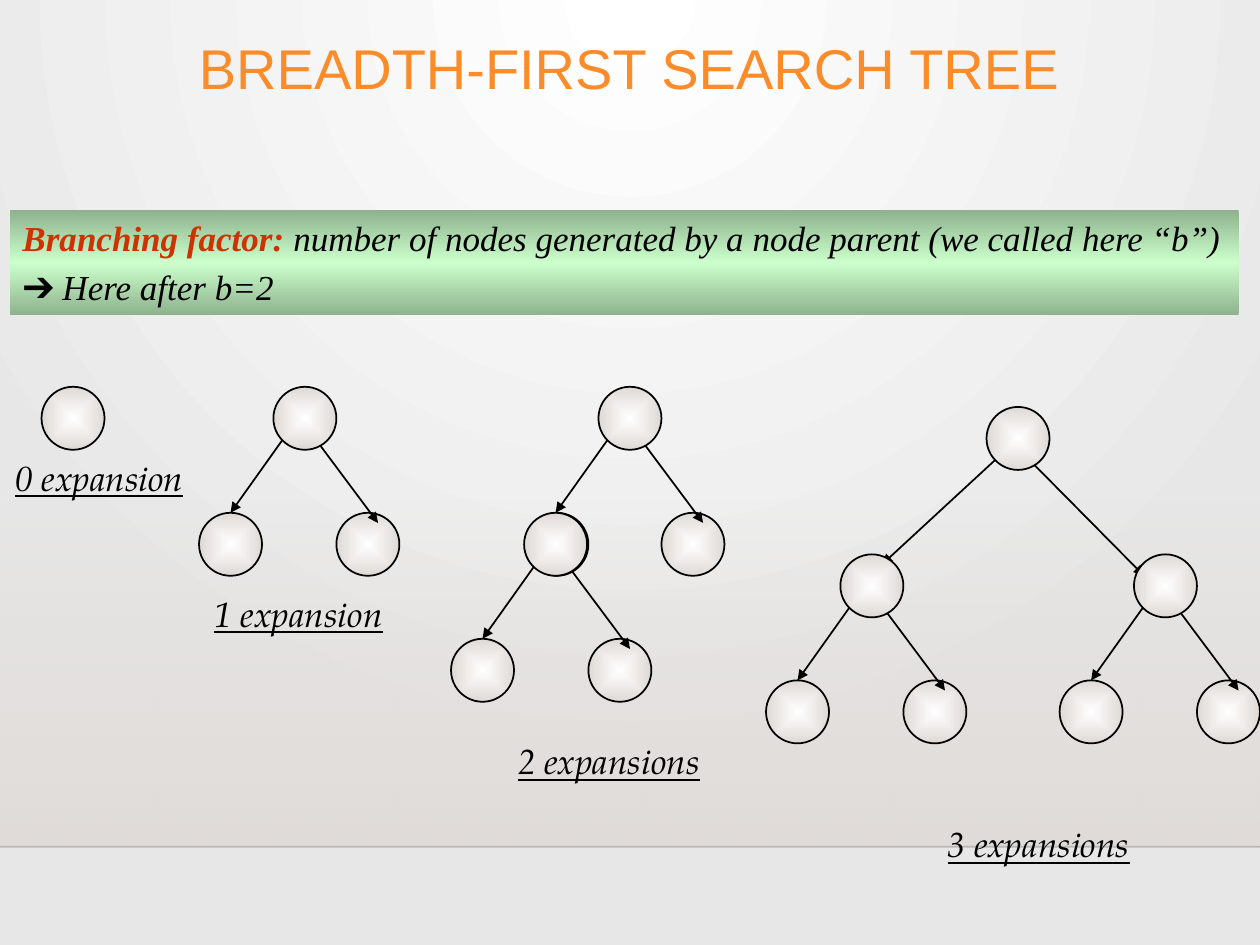
from dataclasses import dataclass
from typing import NamedTuple

from lxml import etree
from pptx import Presentation
from pptx import util as u
from pptx.dml.color import RGBColor
from pptx.enum import shapes, text
from pptx.oxml import parse_xml
from pptx.oxml.ns import nsdecls, qn


@dataclass(frozen=True)
class Theme:
    ink: str = "000000"
    title: str = "FB8C29"
    term: str = "CC3300"
    paper: str = "FFFFFF"
    edge: str = "E7E7E7"
    floor: str = "DFD9D5"
    moss: str = "8EB28E"
    mint: str = "CCFFCC"
    head: int = 32
    body: int = 20
    sans: str = "Arial"
    serif: str = "Times New Roman"
    script: str = "TeX Gyre Pagella"


class Stop(NamedTuple):
    pos: int
    color: str
    alpha: int = 100


class Spot(NamedTuple):
    x: float
    y: float


class Label(NamedTuple):
    words: str
    x: float
    y: float
    wide: float


T = Theme()
SIZE = 0.5  # node diameter
LINEAR = '<a:lin ang="5400000" scaled="0"/>'
# Parent corners of every two-child branch, and the root of the last tree
BRANCHES = [Spot(2.17, 3.07), Spot(4.17, 4.07), Spot(4.75, 3.07),
            Spot(6.67, 4.4), Spot(9, 4.4)]
ROOT = Spot(7.83, 3.23)
LABELS = [
    Label("0 expansion", 0, 3.57, 1.58),
    Label("1 expansion", 1.58, 4.65, 1.58),
    Label("2 expansions", 3.92, 5.82, 1.83),
    Label("3 expansions", 7.33, 6.48, 1.83),
]


def rgb(color: str) -> RGBColor:
    return RGBColor.from_string(color)


def radial(kind: str, left: int, top: int, right: int, bottom: int) -> str:
    return (f'<a:path path="{kind}"><a:fillToRect l="{left}000" t="{top}000" '
            f'r="{right}000" b="{bottom}000"/></a:path>')


def shade(fill, owner, stops: list[Stop], way: str) -> None:
    """Give the owner of a fill a gradient with the given stops."""
    fill.solid()
    fill.fore_color.rgb = rgb(T.paper)
    marks = "".join(
        f'<a:gs pos="{s.pos}000"><a:srgbClr val="{s.color}">'
        f'<a:alpha val="{s.alpha}000"/></a:srgbClr></a:gs>' for s in stops)
    grad = parse_xml(f'<a:gradFill {nsdecls("a")} rotWithShape="1">'
                     f'<a:gsLst>{marks}</a:gsLst>{way}</a:gradFill>')
    old = owner.find(qn("a:solidFill"))
    owner.replace(old, grad)


def block(slide, kind, box: tuple, stops: list[Stop], way: str):
    shape = slide.shapes.add_shape(kind, *map(u.Inches, box))
    shape.shadow.inherit = False
    shade(shape.fill, shape._element.spPr, stops, way)
    shape.line.fill.background()
    return shape


def node(slide, x: float, y: float) -> None:
    ball = block(slide, shapes.MSO_SHAPE.OVAL, (x, y, SIZE, SIZE),
                 [Stop(0, T.paper), Stop(100, T.floor)],
                 radial("shape", 50, 50, 50, 50))
    ball.line.color.rgb = rgb(T.ink)
    ball.line.width = u.Pt(1)


def rule(slide, start: Spot, end: Spot):
    line = slide.shapes.add_connector(
        shapes.MSO_CONNECTOR.STRAIGHT, *map(u.Inches, (*start, *end)))
    line.line.color.rgb = rgb(T.ink)
    line.line.width = u.Pt(1)
    etree.SubElement(line._element.spPr, qn("a:effectLst"))
    return line


def arrow(slide, start: Spot, end: Spot) -> None:
    line = rule(slide, start, end)
    etree.SubElement(line.line._get_or_add_ln(), qn("a:tailEnd"), type="triangle")


def fork(slide, top: Spot, left: Spot, right: Spot) -> None:
    """Draw two arrows from a parent; ends are offsets from its corner."""
    x, y = top
    arrow(slide, Spot(x + 0.08, y + 0.41), Spot(x + left.x, y + left.y))
    arrow(slide, Spot(x + 0.33, y + 0.41), Spot(x + right.x, y + right.y))
    node(slide, x, y)


def branch(slide, top: Spot) -> None:
    node(slide, top.x - 0.59, top.y + 1)
    node(slide, top.x + 0.5, top.y + 1)
    fork(slide, top, Spot(-0.34, 1), Spot(0.83, 1.08))


def style(font, name: str, size: int, color: str) -> None:
    font.name, font.size = name, u.Pt(size)
    font.color.rgb = rgb(color)


def label(slide, item: Label) -> None:
    box = slide.shapes.add_textbox(
        *map(u.Inches, (item.x, item.y, item.wide, 0.43)))
    box.text_frame.word_wrap = True
    para = box.text_frame.paragraphs[0]
    para.text = item.words
    para.alignment = text.PP_ALIGN.CENTER
    style(para.font, T.script, T.body, T.ink)
    para.font.italic = para.font.underline = True


def backdrop(slide) -> None:
    fill = slide.background.fill
    fill.solid()
    shade(fill, slide._element.xpath(".//p:bgPr")[0],
          [Stop(0, T.paper), Stop(100, T.edge)], radial("circle", 43, 0, 43, 100))
    block(slide, shapes.MSO_SHAPE.RECTANGLE, (0, 3.96, 10, 2.75),
          [Stop(0, T.floor, 0), Stop(100, T.floor, 80)], LINEAR)
    line = rule(slide, Spot(0, 6.72), Spot(10, 6.72))
    tint = line._element.spPr.find(".//" + qn("a:srgbClr"))
    etree.SubElement(tint, qn("a:alpha"), val="20000")


def banner(slide) -> None:
    band = block(slide, shapes.MSO_SHAPE.RECTANGLE, (0.08, 1.67, 9.75, 0.83),
                 [Stop(0, T.moss), Stop(50, T.mint), Stop(100, T.moss)], LINEAR)
    frame = band.text_frame
    frame.word_wrap = True
    frame.vertical_anchor = text.MSO_ANCHOR.TOP
    first, second = frame.paragraphs[0], frame.add_paragraph()
    term = first.add_run()
    term.text = "Branching factor: "
    first.add_run().text = ("number of nodes generated by a node parent "
                            "(we called here “b”)")
    second.text = "➔ Here after b=2"
    for para in (first, second):
        para.alignment = text.PP_ALIGN.LEFT
        para.space_before = u.Pt(4)
        for run in para.runs:
            style(run.font, T.serif, T.body, T.ink)
            run.font.italic = True
    term.font.bold = True
    term.font.color.rgb = rgb(T.term)


def heading(slide) -> None:
    title = slide.shapes.title
    title.left, title.top, title.width, title.height = map(
        u.Inches, (0.83, 0.07, 8.33, 1))
    title.text_frame.vertical_anchor = text.MSO_ANCHOR.MIDDLE
    para = title.text_frame.paragraphs[0]
    para.text = "BREADTH-FIRST SEARCH TREE"
    para.alignment = text.PP_ALIGN.CENTER
    para.line_spacing = 0.9
    style(para.font, T.sans, T.head, T.title)


def main() -> None:
    deck = Presentation()
    deck.slide_width, deck.slide_height = u.Inches(10), u.Inches(7.5)
    slide = deck.slides.add_slide(deck.slide_layouts[5])
    backdrop(slide)
    # Trees
    node(slide, 0.33, 3.07)
    fork(slide, ROOT, Spot(-0.83, 1.25), Spot(1.25, 1.34))
    for top in BRANCHES:
        branch(slide, top)
    # Words
    for item in LABELS:
        label(slide, item)
    banner(slide)
    heading(slide)
    deck.save("out.pptx")


if __name__ == "__main__":
    main()
